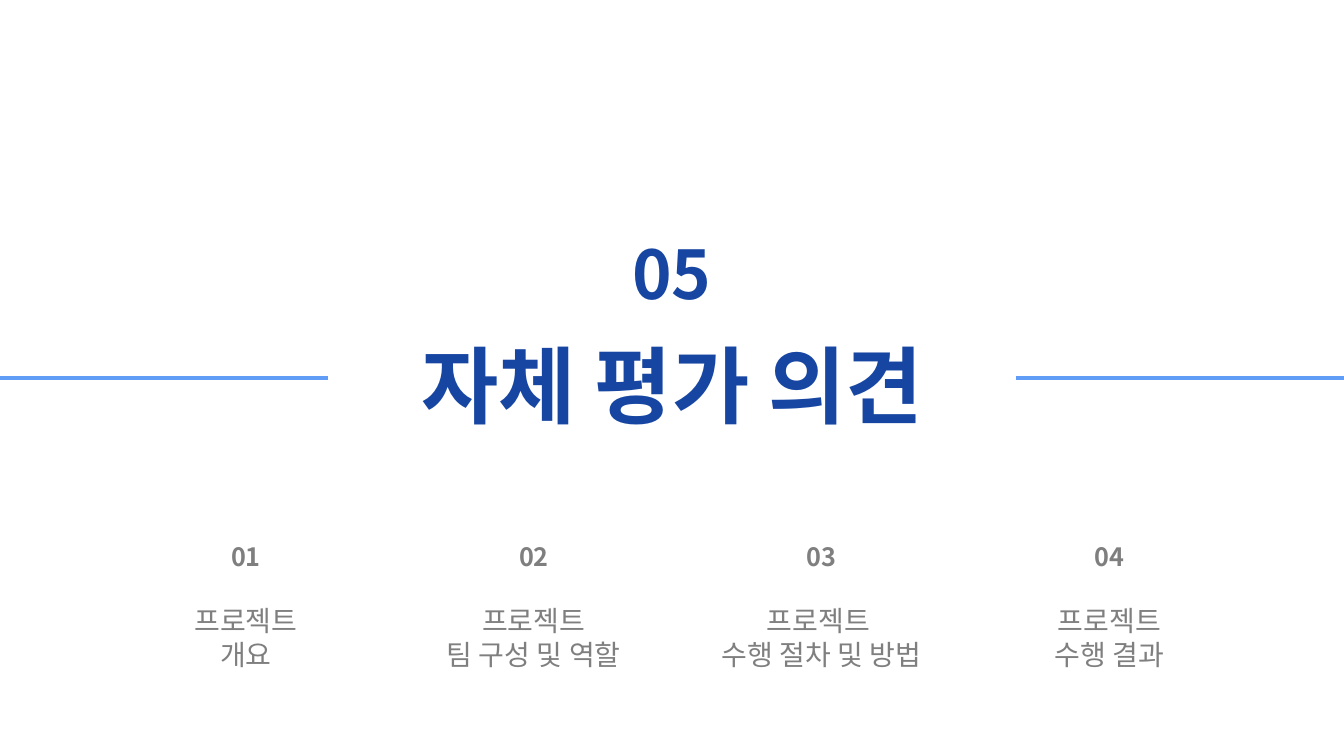
from dataclasses import dataclass

from lxml import etree
from pptx import Presentation
from pptx.dml.color import RGBColor
from pptx.enum import shapes, text
from pptx.oxml import ns
from pptx.util import Inches, Pt


@dataclass(frozen=True)
class Theme:
    font: str = "Noto Sans CJK KR"
    navy: str = "1746A2"
    sky: str = "5F9DF7"
    gray: str = "7F7F7F"
    number_size: int = 48
    title_size: int = 60
    step_number_size: int = 18
    step_size: int = 20
    rule_width: int = 3


THEME = Theme()
SLIDE_W, SLIDE_H = 13.33, 7.5

# Number, heading lines and heading width of each other section
STEPS = [
    ("01", ["프로젝트 개요"], 1.66),
    ("02", ["프로젝트", "팀 구성 및 역할"], 2.3),
    ("03", ["프로젝트 ", "수행 절차 및 방법"], 2.27),
    ("04", ["프로젝트", "수행 결과"], 1.43),
]


def write(holder, lines, *, size, color, bold=False):
    """Fill a text holder with centred paragraphs."""
    frame = holder.text_frame
    frame.word_wrap = True
    frame.auto_size = text.MSO_AUTO_SIZE.NONE
    frame.vertical_anchor = text.MSO_ANCHOR.TOP
    for index, line in enumerate(lines):
        paragraph = frame.add_paragraph() if index else frame.paragraphs[0]
        paragraph.alignment = text.PP_ALIGN.CENTER
        paragraph.line_spacing = 1.0
        paragraph.space_before = Pt(0)
        run = paragraph.add_run()
        run.text = line
        run.font.name = THEME.font
        run.font.size = Pt(size)
        run.font.bold = bold
        run.font.color.rgb = RGBColor.from_string(color)
        east_asian = etree.SubElement(run.font._element, ns.qn("a:ea"))
        east_asian.set("typeface", THEME.font)


def add_text(slide, box, lines, **style):
    holder = slide.shapes.add_textbox(*map(Inches, box))
    write(holder, lines, **style)


def add_heading(slide, left, top, width):
    """Section number above the slide title."""
    number_w = 1.04
    add_text(slide, (left + (width - number_w) / 2, top, number_w, 0.91), ["05"],
             size=THEME.number_size, color=THEME.navy, bold=True)
    title = slide.shapes.title
    title.left, title.top = Inches(left), Inches(top + 1)
    title.width, title.height = Inches(width), Inches(1.11)
    write(title, ["자체 평가 의견"], size=THEME.title_size, color=THEME.navy, bold=True)


def add_steps(slide, left, top, pitch):
    """Row of the other sections, centred on equally spaced axes."""
    number_w = 0.52
    for index, (number, heading, width) in enumerate(STEPS):
        center = left + index * pitch
        add_text(slide, (center - number_w / 2, top, number_w, 0.4), [number],
                 size=THEME.step_number_size, color=THEME.gray, bold=True)
        add_text(slide, (center - width / 2, top + 0.62, width, 0.77), heading,
                 size=THEME.step_size, color=THEME.gray)


def add_rules(slide, y, length):
    """Lines running in from both slide edges."""
    for start, end in ((0, length), (SLIDE_W - length, SLIDE_W)):
        rule = slide.shapes.add_connector(
            shapes.MSO_CONNECTOR.STRAIGHT, Inches(start), Inches(y), Inches(end), Inches(y))
        rule.line.color.rgb = RGBColor.from_string(THEME.sky)
        rule.line.width = Pt(THEME.rule_width)
        etree.SubElement(rule._element.spPr, ns.qn("a:effectLst"))


def main():
    deck = Presentation()
    deck.slide_width, deck.slide_height = Inches(SLIDE_W), Inches(SLIDE_H)
    slide = deck.slides.add_slide(deck.slide_layouts.get_by_name("Title Only"))
    add_heading(slide, left=3.96, top=2.26, width=5.41)
    add_steps(slide, left=2.44, top=5.32, pitch=2.855)
    add_rules(slide, y=SLIDE_H / 2, length=3.25)
    deck.save("out.pptx")


if __name__ == "__main__":
    main()
